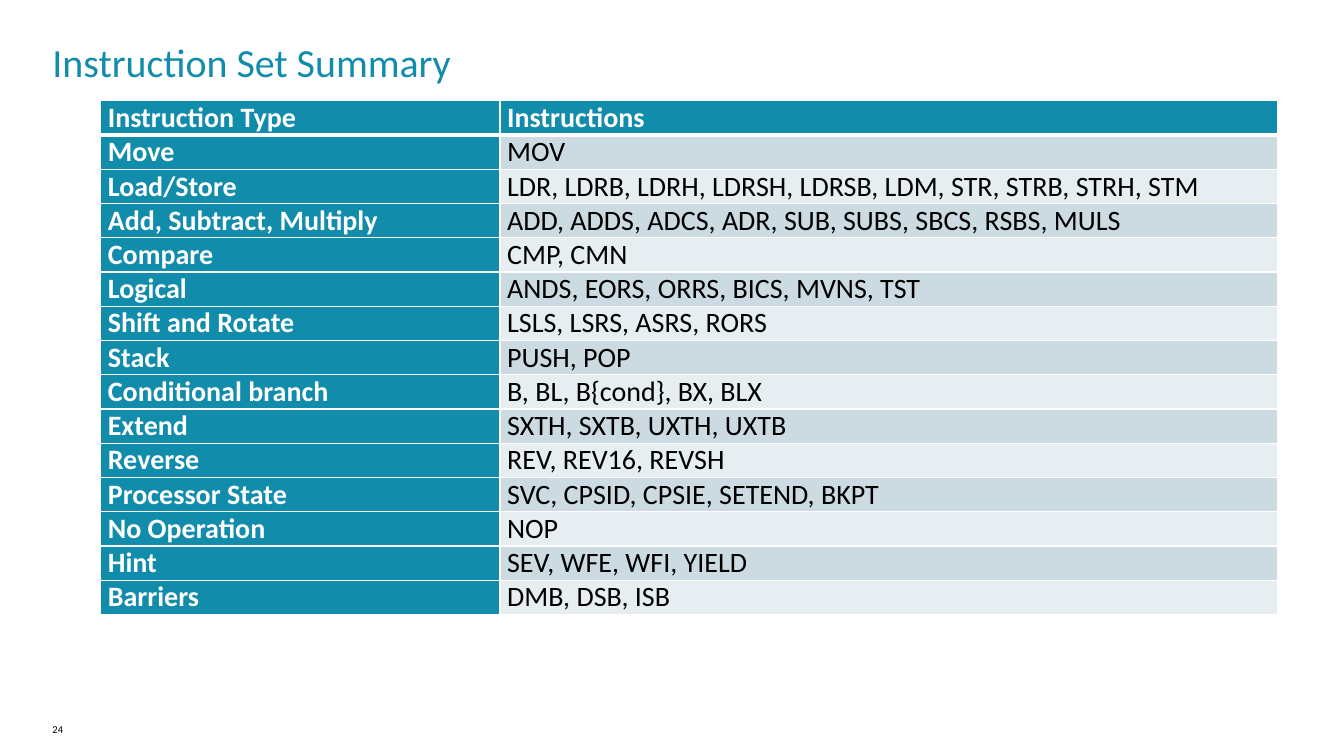
from dataclasses import dataclass

from lxml.etree import SubElement
from pptx import Presentation
from pptx.dml.color import RGBColor as Rgb
from pptx.enum.text import MSO_ANCHOR as Anchor
from pptx.oxml.ns import qn
from pptx.slide import Slide
from pptx.table import _Cell as Cell
from pptx.text.text import TextFrame as Frame
from pptx.util import Inches, Pt


@dataclass(frozen=True)
class Theme:
    font: str = "Calibri"
    teal: str = "128CAB"
    white: str = "FFFFFF"
    black: str = "000000"
    bands: tuple[str, str] = ("E7EEF1", "CCDAE2")
    title: float = 28.5
    body: float = 20
    small: float = 7.5
    thin: float = 1
    thick: float = 3


@dataclass(frozen=True)
class Entry:
    kind: str
    codes: str


@dataclass(frozen=True)
class Box:
    left: float
    top: float
    width: float
    height: float


THEME = Theme()
TABLE = Box(1, 1, 11.67, 5.1)
COLS = (3.96, 7.71)
ENTRIES = (
    Entry("Instruction Type", "Instructions"),
    Entry("Move", "MOV"),
    Entry("Load/Store", "LDR, LDRB, LDRH, LDRSH, LDRSB, LDM, STR, STRB, STRH, STM"),
    Entry("Add, Subtract, Multiply", "ADD, ADDS, ADCS, ADR, SUB, SUBS, SBCS, RSBS, MULS"),
    Entry("Compare", "CMP, CMN"),
    Entry("Logical", "ANDS, EORS, ORRS, BICS, MVNS, TST"),
    Entry("Shift and Rotate", "LSLS, LSRS, ASRS, RORS"),
    Entry("Stack", "PUSH, POP"),
    Entry("Conditional branch", "B, BL, B{cond}, BX, BLX"),
    Entry("Extend", "SXTH, SXTB, UXTH, UXTB"),
    Entry("Reverse", "REV, REV16, REVSH"),
    Entry("Processor State", "SVC, CPSID, CPSIE, SETEND, BKPT"),
    Entry("No Operation", "NOP"),
    Entry("Hint", "SEV, WFE, WFI, YIELD"),
    Entry("Barriers", "DMB, DSB, ISB"),
)


def write(frame: Frame, text: str, *, size: float, color: str,
          bold: bool = False, after: float = 0) -> None:
    para = frame.paragraphs[0]
    para.space_after = Pt(after)
    run = para.add_run()
    run.text = text
    run.font.name = THEME.font
    run.font.size = Pt(size)
    run.font.bold = bold
    run.font.color.rgb = Rgb.from_string(color)


def label(slide: Slide, box: Box, text: str, *, size: float, color: str,
          right: float = 0) -> None:
    shape = slide.shapes.add_textbox(
        Inches(box.left), Inches(box.top), Inches(box.width), Inches(box.height))
    frame = shape.text_frame
    frame.word_wrap = True
    frame.vertical_anchor = Anchor.TOP
    frame.margin_left = frame.margin_top = frame.margin_bottom = 0
    frame.margin_right = Inches(right)
    write(frame, text, size=size, color=color)


def edge(cell: Cell, side: str, width: float) -> None:
    props = cell._tc.get_or_add_tcPr()
    line = SubElement(props, qn(f"a:ln{side}"), w=str(Pt(width)))
    fill = SubElement(line, qn("a:solidFill"))
    SubElement(fill, qn("a:srgbClr"), val=THEME.white)


def style(cell: Cell, text: str, row: int, col: int) -> None:
    head = row == 0 or col == 0
    cell.margin_left = cell.margin_right = Inches(0.07)
    cell.margin_top = cell.margin_bottom = 0
    heavy = {(0, "B"), (1, "T")}
    for side in "LRTB":
        edge(cell, side, THEME.thick if (row, side) in heavy else THEME.thin)
    cell.fill.solid()
    cell.fill.fore_color.rgb = Rgb.from_string(
        THEME.teal if head else THEME.bands[row % 2])
    write(cell.text_frame, text, size=THEME.body, bold=head, after=6,
          color=THEME.white if head else THEME.black)


def grid(slide: Slide, box: Box, entries: tuple[Entry, ...]) -> None:
    table = slide.shapes.add_table(
        len(entries), len(COLS), Inches(box.left), Inches(box.top),
        Inches(box.width), Inches(box.height)).table
    for col, width in enumerate(COLS):
        table.columns[col].width = Inches(width)
    for row, entry in enumerate(entries):
        for col, text in enumerate((entry.kind, entry.codes)):
            style(table.cell(row, col), text, row, col)


def main() -> None:
    deck = Presentation()
    deck.slide_width = Inches(13.33)
    deck.slide_height = Inches(7.5)
    slide = deck.slides.add_slide(deck.slide_layouts[6])
    label(slide, Box(0.52, 7.17, 1.43, 0.26), "24",
          size=THEME.small, color=THEME.black, right=0.1)
    label(slide, Box(0.52, 0.37, 12.21, 0.63), "Instruction Set Summary",
          size=THEME.title, color=THEME.teal)
    grid(slide, TABLE, ENTRIES)
    deck.save("out.pptx")


if __name__ == "__main__":
    main()
